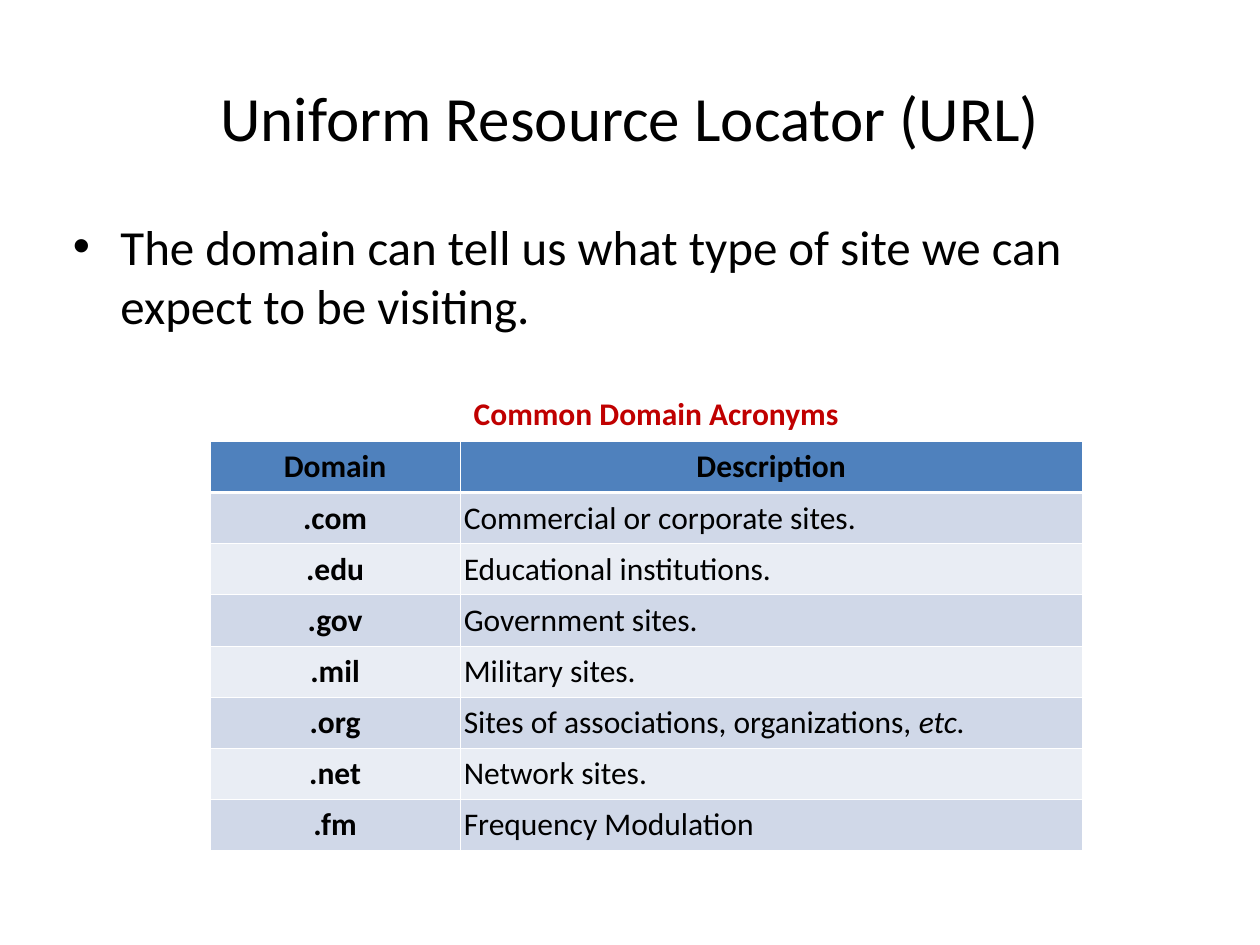
from dataclasses import dataclass
from typing import Any

import lxml.etree
import pptx
import pptx.dml.color
import pptx.enum.text
import pptx.oxml.ns
import pptx.util
from pptx.util import Cm, Pt

ALIGN = pptx.enum.text.PP_ALIGN
ANCHOR = pptx.enum.text.MSO_ANCHOR
BLACK, WHITE, RED = "000000", "FFFFFF", "C00000"
HEADER_FILL, BAND_FILLS = "4F81BD", ("D0D8E8", "E9EDF4")
THIN, THICK = 0.45, 1.47


@dataclass
class TextBlock:
    text: str
    left: float
    top: float
    width: float
    height: float
    size: float
    color: str = BLACK
    bold: bool = False
    wrap: bool = True
    anchor: Any = ANCHOR.TOP
    align: Any = ALIGN.LEFT


@dataclass
class DomainRow:
    domain: str
    description: str
    italic_ending: str = ""


TITLE = TextBlock("Uniform Resource Locator (URL)", 1.27, 0.76, 22.86, 3.18, 36,
                  anchor=ANCHOR.MIDDLE, align=ALIGN.CENTER)
STATEMENT = TextBlock("The domain can tell us what type of site we can expect to be visiting.",
                      1.22, 4.24, 22.86, 13.77, 28)
CAPTION = TextBlock("Common Domain Acronyms", 9.3, 7.82, 7.87, 1.02, 18,
                    color=RED, bold=True, wrap=False)
DOMAINS = [
    DomainRow("Domain", "Description"),
    DomainRow(".com", "Commercial or corporate sites."),
    DomainRow(".edu", "Educational institutions."),
    DomainRow(".gov", "Government sites."),
    DomainRow(".mil", "Military sites."),
    DomainRow(".org", "Sites of associations, organizations, ", "etc."),
    DomainRow(".net", "Network sites."),
    DomainRow(".fm", "Frequency Modulation"),
]


def rgb(color: str) -> pptx.dml.color.RGBColor:
    return pptx.dml.color.RGBColor.from_string(color)


def apply_format(target: Any, values: dict[str, Any]) -> None:
    for attribute, value in values.items():
        setattr(target, attribute, value)


def add_run(paragraph: Any, text: str, size: float, color: str = BLACK,
            bold: bool = False, italic: bool = False) -> None:
    run = paragraph.add_run()
    run.text = text
    apply_format(run.font, {"name": "Calibri", "size": Pt(size), "bold": bold, "italic": italic})
    run.font.color.rgb = rgb(color)


def add_text(slide: Any, block: TextBlock) -> Any:
    """Add a text box and return its paragraph."""
    box = slide.shapes.add_textbox(Cm(block.left), Cm(block.top), Cm(block.width), Cm(block.height))
    apply_format(box.text_frame, {"word_wrap": block.wrap, "vertical_anchor": block.anchor})
    paragraph = box.text_frame.paragraphs[0]
    paragraph.alignment = block.align
    add_run(paragraph, block.text, block.size, block.color, block.bold)
    return paragraph


def add_bullet(paragraph: Any, indent: float) -> None:
    properties = paragraph._p.get_or_add_pPr()
    properties.set("marL", str(Cm(indent)))
    properties.set("indent", str(-Cm(indent)))
    lxml.etree.SubElement(properties, pptx.oxml.ns.qn("a:buFont"), typeface="Arial")
    lxml.etree.SubElement(properties, pptx.oxml.ns.qn("a:buChar"), char="•")


def set_borders(cell: Any, widths: dict[str, float]) -> None:
    """Draw white cell borders; they must precede the fill in the cell properties."""
    properties = cell._tc.get_or_add_tcPr()
    for position, (side, width) in enumerate(widths.items()):
        line = lxml.etree.Element(pptx.oxml.ns.qn(f"a:ln{side}"), w=str(Pt(width)))
        fill = lxml.etree.SubElement(line, pptx.oxml.ns.qn("a:solidFill"))
        lxml.etree.SubElement(fill, pptx.oxml.ns.qn("a:srgbClr"), val=WHITE)
        properties.insert(position, line)


def fill_cell(cell: Any, row: int, centred: bool, text: str, italic_ending: str = "") -> None:
    apply_format(cell, {
        "vertical_anchor": ANCHOR.MIDDLE,
        "margin_left": Cm(0.08), "margin_right": Cm(0.08),
        "margin_top": Cm(0.13), "margin_bottom": Cm(0.13),
    })
    cell.fill.solid()
    cell.fill.fore_color.rgb = rgb(BAND_FILLS[(row - 1) % 2] if row else HEADER_FILL)
    set_borders(cell, {"L": THIN, "R": THIN,
                       "T": THICK if row == 1 else THIN,
                       "B": THICK if row == 0 else THIN})
    paragraph = cell.text_frame.paragraphs[0]
    paragraph.alignment = ALIGN.CENTER if centred else ALIGN.LEFT
    add_run(paragraph, text, 18, bold=centred)
    if italic_ending:
        add_run(paragraph, italic_ending, 18, italic=True)


def add_domain_table(slide: Any, rows: list[DomainRow]) -> None:
    column_widths, row_height = (5.03, 12.55), 1.03
    table = slide.shapes.add_table(len(rows), 2, Cm(4.24), Cm(8.9), Cm(sum(column_widths)),
                                   Cm(row_height * len(rows))).table
    for column, width in zip(table.columns, column_widths):
        column.width = Cm(width)
    for index, entry in enumerate(rows):
        table.rows[index].height = Cm(row_height)
        fill_cell(table.cell(index, 0), index, True, entry.domain)
        fill_cell(table.cell(index, 1), index, index == 0, entry.description, entry.italic_ending)


def main() -> None:
    presentation = pptx.Presentation()
    apply_format(presentation, {"slide_width": Cm(25.4), "slide_height": Cm(19.05)})
    slide = presentation.slides.add_slide(presentation.slide_layouts[6])
    add_text(slide, TITLE)
    statement = add_text(slide, STATEMENT)
    statement.space_before = Pt(7)
    add_bullet(statement, 0.96)
    add_domain_table(slide, DOMAINS)
    add_text(slide, CAPTION)
    presentation.save("out.pptx")


if __name__ == "__main__":
    main()
